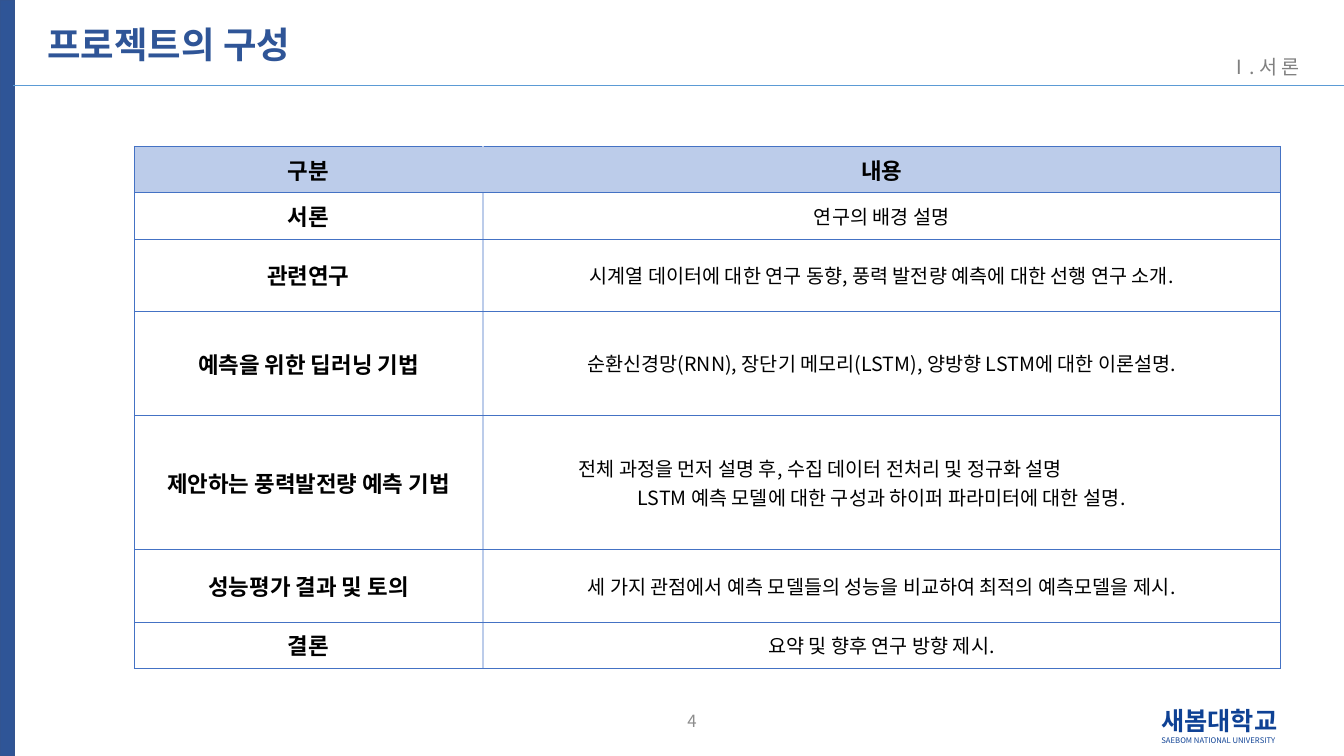
"""Build the project outline slide with its table of chapters."""
from lxml import etree
from pptx import Presentation
from pptx.dml.color import RGBColor
from pptx.enum.shapes import MSO_CONNECTOR, MSO_SHAPE
from pptx.enum.text import MSO_ANCHOR, MSO_AUTO_SIZE, PP_ALIGN
from pptx.oxml.ns import qn
from pptx.util import Inches, Pt

TITLE = "프로젝트의 구성"
CHAPTER = "Ⅰ. 서 론"
PAGE = "4"
SCHOOL = [("새봄대학교", 18, True), ("SAEBOM NATIONAL UNIVERSITY", 5.5, False)]
ROWS = [
    (0.46, "구분", "내용"),
    (0.46, "서론", "연구의 배경 설명"),
    (0.72, "관련연구", "시계열 데이터에 대한 연구 동향, 풍력 발전량 예측에 대한 선행 연구 소개."),
    (1.03, "예측을 위한 딥러닝 기법",
     "순환신경망(RNN), 장단기 메모리(LSTM), 양방향 LSTM에 대한 이론설명."),
    (1.33, "제안하는 풍력발전량 예측 기법",
     "전체 과정을 먼저 설명 후, 수집 데이터 전처리 및 정규화 설명\n"
     "LSTM 예측 모델에 대한 구성과 하이퍼 파라미터에 대한 설명."),
    (0.72, "성능평가 결과 및 토의",
     "세 가지 관점에서 예측 모델들의 성능을 비교하여 최적의 예측모델을 제시."),
    (0.46, "결론", "요약 및 향후 연구 방향 제시."),
]
COLS = (3.46, 7.91)
WIDE, HIGH = 13.33, 7.5
FONT = "Noto Sans CJK KR"

NAVY = RGBColor(0x2F, 0x55, 0x97)
EDGE = RGBColor(0x32, 0x54, 0x91)
SKY = RGBColor(0x5B, 0x9B, 0xD5)
ROYAL = RGBColor(0x0E, 0x41, 0x94)
GRAY = RGBColor(0x80, 0x80, 0x80)
PALE = RGBColor(0x8C, 0x8C, 0x8C)
BLACK = RGBColor(0, 0, 0)
BLUE = RGBColor(0x44, 0x72, 0xC4)
TINT = RGBColor(0xBC, 0xCC, 0xEA)
LEFT, CENTER, RIGHT = PP_ALIGN.LEFT, PP_ALIGN.CENTER, PP_ALIGN.RIGHT
TOP, MIDDLE = MSO_ANCHOR.TOP, MSO_ANCHOR.MIDDLE


def style(para, size, color, bold=False, align=LEFT):
    para.alignment = align
    for run in para.runs:
        run.font.size = Pt(size)
        run.font.bold = bold
        run.font.color.rgb = color
        run.font.name = FONT
        etree.SubElement(run.font._element, qn("a:ea"), typeface=FONT)


def place(shape, left, top, width, height, anchor=MIDDLE):
    shape.left, shape.top = Inches(left), Inches(top)
    shape.width, shape.height = Inches(width), Inches(height)
    frame = shape.text_frame
    frame.word_wrap = True
    frame.auto_size = MSO_AUTO_SIZE.NONE
    frame.vertical_anchor = anchor
    return frame


def label(slide, text, box, anchor=MIDDLE):
    frame = place(slide.shapes.add_textbox(0, 0, 0, 0), *box, anchor)
    frame.text = text
    return frame.paragraphs


def border(cell, sides):
    props = cell._tc.get_or_add_tcPr()
    for spot, (side, color, width) in enumerate(sides):
        line = etree.Element(qn("a:ln" + side), w=str(Pt(width)))
        fill = etree.SubElement(line, qn("a:solidFill"))
        etree.SubElement(fill, qn("a:srgbClr"), val=str(color))
        props.insert(spot, line)


def add_frame(slide):
    bar = slide.shapes.add_shape(MSO_SHAPE.RECTANGLE, 0, 0, Inches(0.14), Inches(HIGH))
    bar.shadow.inherit = False
    bar.fill.solid()
    bar.fill.fore_color.rgb = NAVY
    bar.line.color.rgb = EDGE
    bar.line.width = Pt(1)
    rule = slide.shapes.add_connector(
        MSO_CONNECTOR.STRAIGHT, Inches(0.13), Inches(0.85), Inches(WIDE), Inches(0.85))
    rule.line.color.rgb = SKY
    rule.line.width = Pt(0.5)
    etree.SubElement(rule._element.spPr, qn("a:effectLst"))


def add_text(slide):
    names = "\n".join(name for name, _, _ in SCHOOL)
    paras = label(slide, names, (11.42, 6.95, 1.69, 0.5), TOP)
    for para, (_, size, bold) in zip(paras, SCHOOL):
        style(para, size, ROYAL, bold)
    frame = place(slide.shapes.title, 0.37, 0.09, 5.63, 0.75)
    frame.text = TITLE
    head = frame.paragraphs[0]
    style(head, 26, NAVY, True)
    mark = label(slide, CHAPTER, (12.1, 0.52, 1.08, 0.32))[0]
    style(mark, 14, GRAY)
    head.line_spacing = mark.line_spacing = 0.9
    style(label(slide, PAGE, (4.01, 6.95, 3, 0.4))[0], 12, PALE, align=RIGHT)


def add_grid(slide):
    high = sum(row[0] for row in ROWS)
    grid = slide.shapes.add_table(
        len(ROWS), len(COLS), Inches(1.33), Inches(1.45),
        Inches(sum(COLS)), Inches(high)).table
    for col, width in zip(grid.columns, COLS):
        col.width = Inches(width)
    thin, soft = (BLUE, 0.5), (TINT, 1)
    for r, (height, *texts) in enumerate(ROWS):
        grid.rows[r].height = Inches(height)
        for c, text in enumerate(texts):
            cell = grid.cell(r, c)
            cell.vertical_anchor = MIDDLE
            cell.text = text
            bold = r == 0 or c == 0
            for para in cell.text_frame.paragraphs:
                style(para, 16 if bold else 14, BLACK, bold, CENTER)
            if r == 0:
                cell.fill.solid()
                cell.fill.fore_color.rgb = TINT
            else:
                cell.fill.background()
            west, east = (soft, thin) if c else (thin, soft)
            border(cell, [("L", *west), ("R", *east), ("T", *thin), ("B", *thin)])
            if "\n" in text:
                first = cell.text_frame.paragraphs[0]
                first.alignment = LEFT
                first._p.get_or_add_pPr().set("marL", str(Inches(0.85)))


def main():
    deck = Presentation()
    deck.slide_width, deck.slide_height = Inches(WIDE), Inches(HIGH)
    slide = deck.slides.add_slide(deck.slide_layouts[5])
    add_frame(slide)
    add_text(slide)
    add_grid(slide)
    deck.save("out.pptx")


if __name__ == "__main__":
    main()
